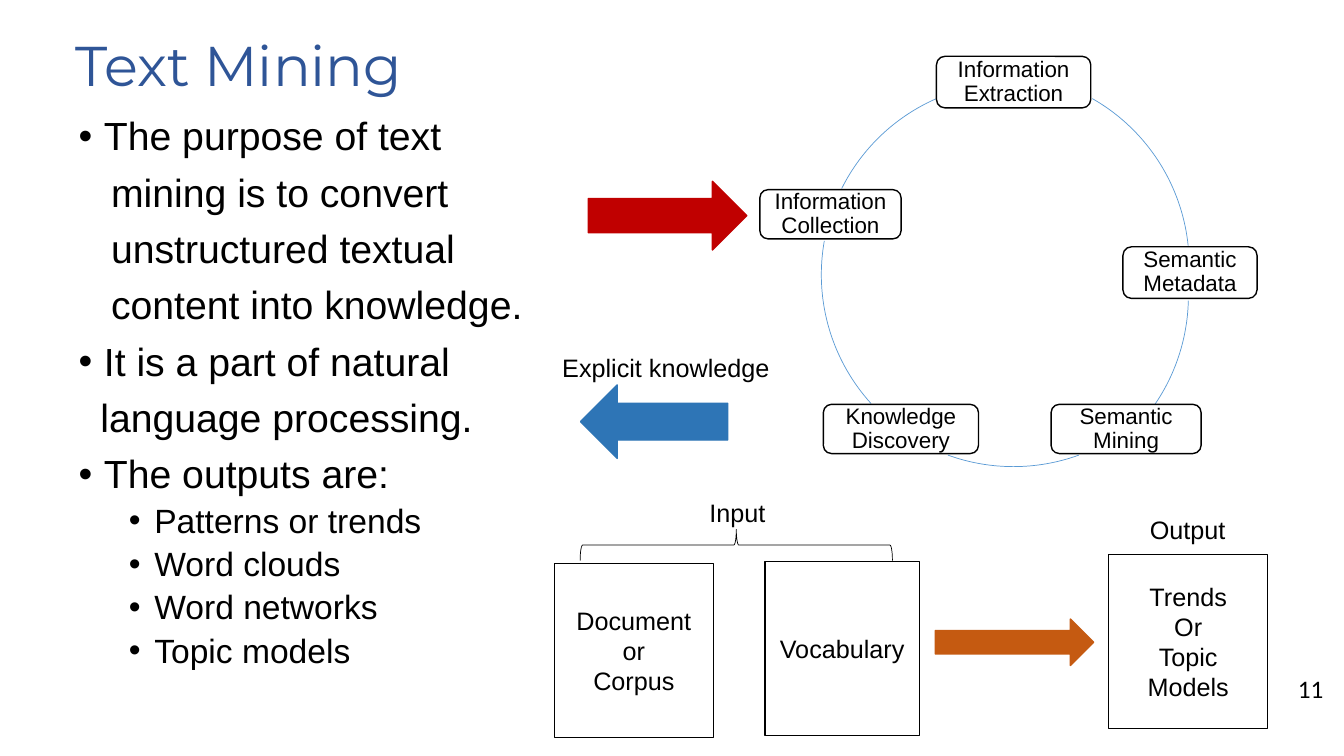
"""Build the Text Mining slide."""
from dataclasses import dataclass

from lxml.etree import SubElement
from pptx import Presentation
from pptx.dml.color import RGBColor
from pptx.enum.shapes import MSO_SHAPE
from pptx.enum.text import MSO_ANCHOR, PP_ALIGN
from pptx.oxml.ns import qn
from pptx.util import Cm, Pt

BLACK = RGBColor(0x00, 0x00, 0x00)
NAVY = RGBColor(0x2F, 0x55, 0x97)
SKY = RGBColor(0x5B, 0x9B, 0xD5)
RED = RGBColor(0xC0, 0x00, 0x00)
BLUE = RGBColor(0x2E, 0x75, 0xB6)
RUST = RGBColor(0xC5, 0x5A, 0x11)
RING = 9.68


@dataclass
class Box:
    left: float
    top: float
    width: float
    height: float

    def place(self) -> tuple:
        return Cm(self.left), Cm(self.top), Cm(self.width), Cm(self.height)


@dataclass
class Node:
    box: Box
    lines: list[str]


@dataclass
class Arc:
    left: float
    top: float
    start: float
    end: float


@dataclass
class Arrow:
    box: Box
    color: RGBColor
    turn: int = 0


@dataclass
class Item:
    text: str
    margin: float
    bullet: bool = True
    size: int = 28
    before: int = 10


NODES = [
    Node(Box(23.6, 1.42, 3.89, 1.3), ["Information Extraction"]),
    Node(Box(28.3, 6.22, 3.38, 1.3), ["Semantic Metadata"]),
    Node(Box(26.49, 10.19, 3.78, 1.24), ["Semantic Mining"]),
    Node(Box(20.75, 10.19, 3.91, 1.24), ["Knowledge Discovery"]),
    Node(Box(19.15, 4.78, 3.56, 1.24), ["Information Collection"]),
]
ARCS = [
    Arc(20.29, 1.85, -60.3, -5.9),
    Arc(20.27, 2.62, 1.4, 34.3),
    Arc(20.7, 2.08, 70.1, 109.9),
    Arc(20.7, 2.08, 137.8, 190.1),
    Arc(20.7, 2.08, 206.6, 246.1),
]
ARROWS = [
    Arrow(Box(14.83, 4.57, 3.99, 1.73), RED),
    Arrow(Box(14.63, 9.7, 3.71, 1.85), BLUE, 180),
    Arrow(Box(23.57, 15.6, 3.99, 1.17), RUST),
]
LABELS = [
    Node(Box(17.63, 12.4, 1.93, 1.02), ["Input"]),
    Node(Box(13.92, 8.76, 5.79, 1.02), ["Explicit knowledge"]),
    Node(Box(28.73, 12.83, 2.44, 1.02), ["Output"]),
]
CARDS = [
    Node(Box(13.97, 14.2, 4.01, 4.39), ["Document or", "Corpus"]),
    Node(Box(19.28, 14.15, 3.89, 4.39), ["Vocabulary"]),
    Node(Box(27.94, 13.97, 4.01, 4.39), ["Trends", "Or", "Topic Models"]),
]
ITEMS = [
    Item("The purpose of text", 0.64),
    Item("mining is to convert", 0.82, False),
    Item("unstructured textual", 0.82, False),
    Item("content into knowledge.", 0.82, False),
    Item("It is a part of natural", 0.64),
    Item("language processing.", 0.55, False),
    Item("The outputs are:", 0.64),
    Item("Patterns or trends", 1.91, size=24, before=5),
    Item("Word clouds", 1.91, size=24, before=5),
    Item("Word networks", 1.91, size=24, before=5),
    Item("Topic models", 1.91, size=24, before=5),
]


def add_run(para, text: str, size: int, font: str = "Arial", color: RGBColor = BLACK) -> None:
    """Append one styled run."""
    run = para.add_run()
    run.text = text
    run.font.size = Pt(size)
    run.font.name = font
    run.font.color.rgb = color


def add_shape(slide, kind: MSO_SHAPE, box: Box, line: RGBColor = BLACK,
              weight: float = 1, fill: RGBColor | None = None):
    """Add a flat preset shape."""
    shape = slide.shapes.add_shape(kind, *box.place())
    shape.shadow.inherit = False
    shape.line.color.rgb = line
    shape.line.width = Pt(weight)
    if fill is None:
        shape.fill.background()
    else:
        shape.fill.solid()
        shape.fill.fore_color.rgb = fill
    return shape


def add_text(slide, box: Box, wrap: bool = True):
    """Add an empty text box and return its frame."""
    frame = slide.shapes.add_textbox(*box.place()).text_frame
    frame.word_wrap = wrap
    return frame


def next_para(frame, index: int):
    """Return the first paragraph or a new one."""
    return frame.add_paragraph() if index else frame.paragraphs[0]


def add_node(slide, node: Node, kind: MSO_SHAPE, size: int, inset: float, space: float) -> None:
    """Add an outlined shape with centred lines."""
    frame = add_shape(slide, kind, node.box).text_frame
    frame.word_wrap = True
    frame.vertical_anchor = MSO_ANCHOR.MIDDLE
    frame.margin_left = frame.margin_right = Cm(inset)
    frame.margin_top = frame.margin_bottom = Cm(0.13)
    for index, line in enumerate(node.lines):
        para = next_para(frame, index)
        para.alignment = PP_ALIGN.CENTER
        para.line_spacing = space
        add_run(para, line, size)


def add_item(frame, index: int, item: Item) -> None:
    """Add one line of the list."""
    para = next_para(frame, index)
    para.line_spacing = 0.9
    para.space_before = Pt(item.before)
    props = para._p.get_or_add_pPr()
    props.set("marL", str(Cm(item.margin)))
    if item.bullet:
        props.set("indent", str(-Cm(0.64)))
        SubElement(props, qn("a:buFont"), typeface="Arial")
        SubElement(props, qn("a:buChar"), char="•")
    add_run(para, item.text, item.size)


def main() -> None:
    """Draw and save the slide."""
    deck = Presentation()
    deck.slide_width, deck.slide_height = Cm(33.87), Cm(19.05)
    slide = deck.slides.add_slide(deck.slide_layouts[6])

    page = add_text(slide, Box(25.98, 16.84, 7.62, 1.02))
    page.vertical_anchor = MSO_ANCHOR.MIDDLE
    page.paragraphs[0].alignment = PP_ALIGN.RIGHT
    add_run(page.paragraphs[0], "11", 18, "Calibri")

    body = add_text(slide, Box(1.73, 2.82, 29.21, 14.68))
    for index, item in enumerate(ITEMS):
        add_item(body, index, item)

    title = add_text(slide, Box(1.65, 0.46, 30.48, 2.51))
    title.vertical_anchor = MSO_ANCHOR.MIDDLE
    title.paragraphs[0].line_spacing = 0.9
    add_run(title.paragraphs[0], "Text Mining", 40, "Montserrat", NAVY)

    for arc in ARCS:
        curve = add_shape(slide, MSO_SHAPE.ARC, Box(arc.left, arc.top, RING, RING), SKY, 0.5)
        for index, angle in enumerate((arc.start, arc.end)):
            curve.adjustments[index] = angle % 360 * 0.6
    for node in NODES:
        add_node(slide, node, MSO_SHAPE.ROUNDED_RECTANGLE, 16, 0.18, 0.9)
    for arrow in ARROWS:
        shape = add_shape(slide, MSO_SHAPE.RIGHT_ARROW, arrow.box, arrow.color, 1, arrow.color)
        shape.rotation = arrow.turn
    for label in LABELS:
        add_run(add_text(slide, label.box, False).paragraphs[0], label.lines[0], 18)
    for card in CARDS:
        add_node(slide, card, MSO_SHAPE.RECTANGLE, 18, 0.25, 1)

    brace = add_shape(slide, MSO_SHAPE.LEFT_BRACE, Box(18.16, 9.8, 0.79, 7.87), BLACK, 0.5)
    brace.rotation = 90
    brace.adjustments[0] = 0.08
    deck.save("out.pptx")


if __name__ == "__main__":
    main()
